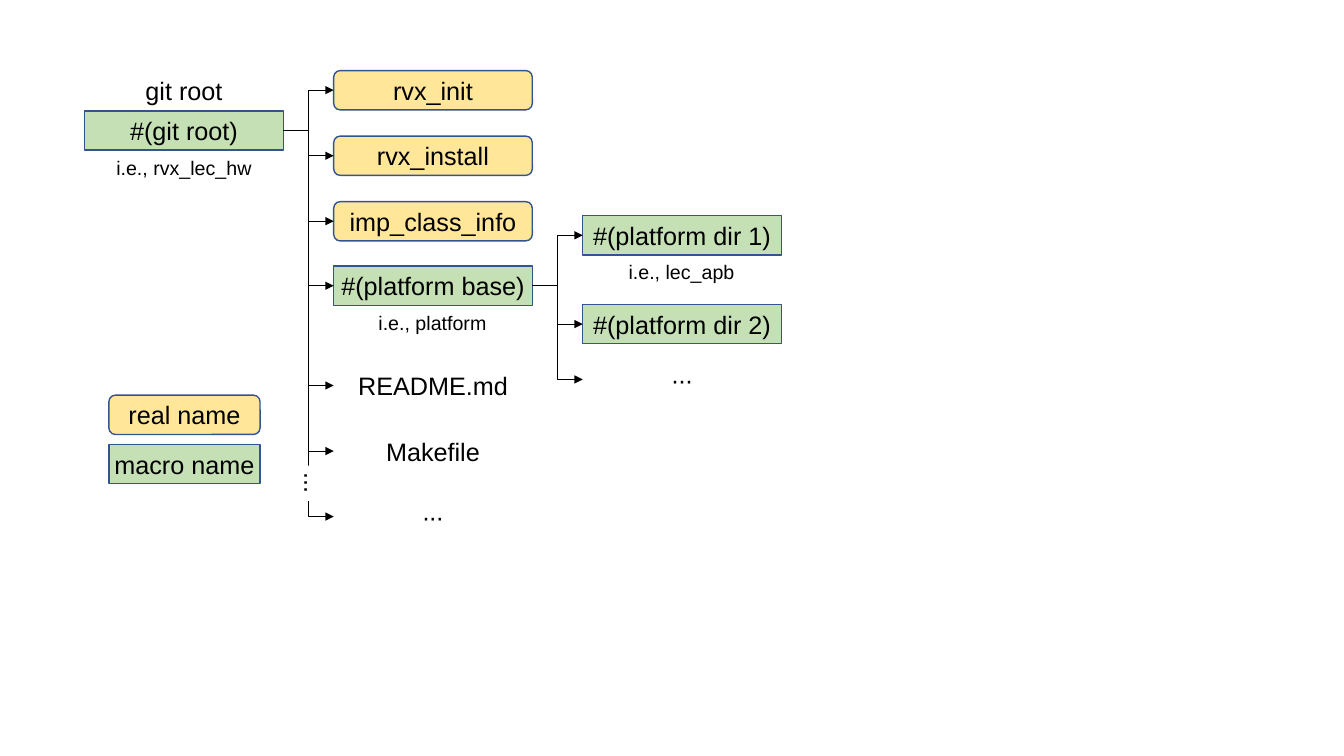
from lxml import etree
from pptx import Presentation
from pptx.dml.color import RGBColor
from pptx.enum.shapes import MSO_CONNECTOR, MSO_SHAPE
from pptx.enum.text import MSO_ANCHOR, MSO_AUTO_SIZE, PP_ALIGN
from pptx.oxml.ns import qn
from pptx.util import Emu, Pt

EMU_PER_PX = 9144  # 100 px to the inch

BLACK, WHITE, BORDER = "000000", "FFFFFF", "325491"
REAL, MACRO = "FFE699", "C5E0B4"
BOX_WIDTH, BOX_HEIGHT, BOX_MARGIN = 197, 39, 4
ROW_PITCH = 65
ROOT_X, FILE_X, PLATFORM_X, LEGEND_X = 84, 331, 578, 108
LEFT_SITE, RIGHT_SITE = 1, 3
DOTS = "∙∙∙"


def px(length):
    return Emu(length * EMU_PER_PX)


def color(value):
    return RGBColor.from_string(value)


def write_text(shape, text, size=18, margin=None, anchor=MSO_ANCHOR.MIDDLE, wrap=True):
    frame = shape.text_frame
    frame.word_wrap = wrap
    frame.vertical_anchor = anchor
    if margin is not None:
        frame.margin_left = frame.margin_right = px(margin)
        frame.margin_top = frame.margin_bottom = px(margin)
    paragraph = frame.paragraphs[0]
    paragraph.alignment = PP_ALIGN.CENTER
    run = paragraph.add_run()
    run.text = text
    run.font.name = "Arial"
    run.font.size = Pt(size)
    run.font.color.rgb = color(BLACK)


def add_box(slide, text, left, top, width=BOX_WIDTH, height=BOX_HEIGHT,
            fill=MACRO, border=BORDER):
    kind = MSO_SHAPE.ROUNDED_RECTANGLE if fill == REAL else MSO_SHAPE.RECTANGLE
    shape = slide.shapes.add_shape(kind, px(left), px(top), px(width), px(height))
    shape.shadow.inherit = False
    shape.fill.solid()
    shape.fill.fore_color.rgb = color(fill)
    if border:
        shape.line.color.rgb = color(border)
        shape.line.width = Pt(1)
    else:
        shape.line.fill.background()
    write_text(shape, text, margin=BOX_MARGIN)
    return shape


def add_plain_entry(slide, text, left, top):
    shape = slide.shapes.add_textbox(px(left), px(top), px(BOX_WIDTH), px(BOX_HEIGHT))
    write_text(shape, text, margin=BOX_MARGIN)
    return shape


def add_caption(slide, text, column_x, top, width, height=34, size=14):
    left = column_x + (BOX_WIDTH - width) // 2
    shape = slide.shapes.add_textbox(px(left), px(top), px(width), px(height))
    write_text(shape, text, size=size, anchor=MSO_ANCHOR.TOP, wrap=False)
    shape.text_frame.auto_size = MSO_AUTO_SIZE.SHAPE_TO_FIT_TEXT


def add_branch(slide, parent, child):
    connector = slide.shapes.add_connector(MSO_CONNECTOR.ELBOW, 0, 0, 0, 0)
    connector.begin_connect(parent, RIGHT_SITE)
    connector.end_connect(child, LEFT_SITE)
    connector.line.color.rgb = color(BLACK)
    connector.line.width = Pt(0.5)
    etree.SubElement(connector.line._get_or_add_ln(), qn("a:tailEnd"), type="triangle")
    etree.SubElement(connector._element.spPr, qn("a:effectLst"))


def main():
    presentation = Presentation()
    presentation.slide_width, presentation.slide_height = px(1333), px(750)
    slide = presentation.slides.add_slide(presentation.slide_layouts[6])

    # Root directory
    root = add_box(slide, "#(git root)", ROOT_X, 110)
    add_caption(slide, "git root", ROOT_X, 70, 97, height=40, size=18)
    add_caption(slide, "i.e., rvx_lec_hw", ROOT_X, 150, 155)

    # Contents of the root
    entries = [
        add_box(slide, name, FILE_X, 70 + row * ROW_PITCH, fill=REAL)
        for row, name in enumerate(["rvx_init", "rvx_install", "imp_class_info"])
    ]
    platform_base = add_box(slide, "#(platform base)", FILE_X, 264)
    add_caption(slide, "i.e., platform", FILE_X, 304, 128)
    entries.append(platform_base)
    entries += [
        add_plain_entry(slide, name, FILE_X, 363 + row * ROW_PITCH)
        for row, name in enumerate(["README.md", "Makefile", DOTS])
    ]

    # Contents of the platform base
    platforms = [
        add_box(slide, "#(platform dir 1)", PLATFORM_X, 214),
        add_box(slide, "#(platform dir 2)", PLATFORM_X, 302),
        add_plain_entry(slide, DOTS, PLATFORM_X, 357),
    ]
    add_caption(slide, "i.e., lec_apb", PLATFORM_X, 253, 126)

    # Tree branches
    for parent, children in ((root, entries), (platform_base, platforms)):
        for child in children:
            add_branch(slide, parent, child)

    # Break in the trunk, above the last entry
    trunk_break = add_box(slide, DOTS, 289, 460, width=35, fill=WHITE, border=None)
    trunk_break.rotation = 90

    # Legend
    add_box(slide, "real name", LEGEND_X, 392, width=150, fill=REAL)
    add_box(slide, "macro name", LEGEND_X, 441, width=150)

    presentation.save("out.pptx")


if __name__ == "__main__":
    main()
